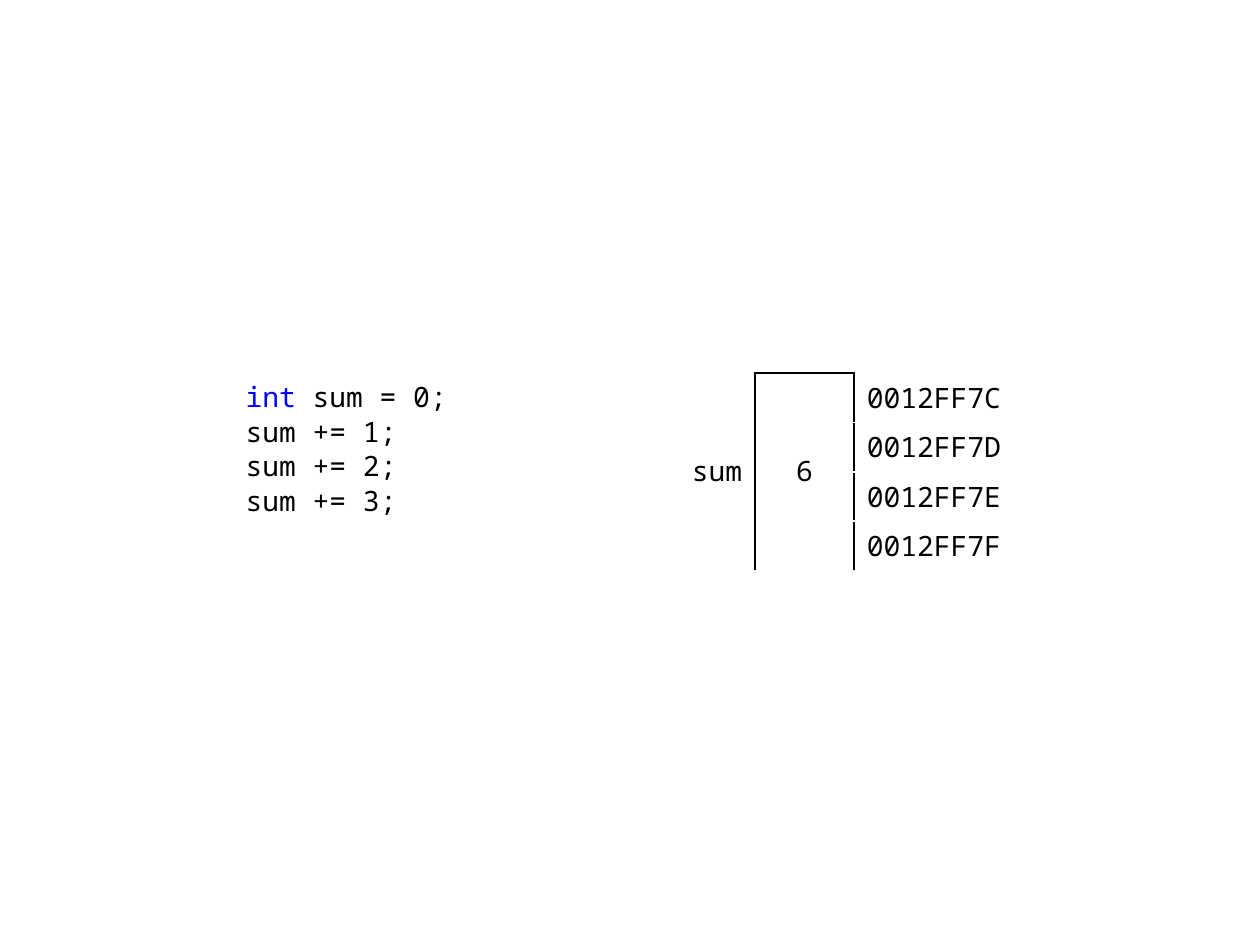
from dataclasses import dataclass

from lxml import etree
from pptx import Presentation
from pptx.dml.color import RGBColor
from pptx.enum.text import MSO_ANCHOR, MSO_AUTO_SIZE, PP_ALIGN
from pptx.oxml.ns import qn
from pptx.util import Inches, Pt

LEFT, CENTER, RIGHT = PP_ALIGN.LEFT, PP_ALIGN.CENTER, PP_ALIGN.RIGHT
TOP, MIDDLE = MSO_ANCHOR.TOP, MSO_ANCHOR.MIDDLE
NO_AUTOFIT = MSO_AUTO_SIZE.NONE


@dataclass(frozen=True)
class Theme:
    font: str = "Noto Sans Mono"
    size: float = 16
    text: str = "000000"
    keyword: str = "0000FF"
    border: str = "000000"
    border_width: float = 1.5
    line_gap: float = 0.7


THEME = Theme()

CODE_LINES = [
    [("int", THEME.keyword), (" sum = 0;", THEME.text)],
    [("sum += 1;", THEME.text)],
    [("sum += 2;", THEME.text)],
    [("sum += 3;", THEME.text)],
]
VARIABLE, VALUE = "sum", "6"
ADDRESSES = ["0012FF7C", "0012FF7D", "0012FF7E", "0012FF7F"]

SLIDE_SIZE = (10, 7.5)
TOP_EDGE = 2.96
CODE_LEFT, CODE_SIZE = 1.85, (1.97, 1.38)
CODE_INDENT = 0.69
MEMORY_LEFT, MEMORY_HEIGHT = 5.2, 1.57
COLUMN_WIDTHS = [0.79, 0.79, 1.38]
COLUMN_ALIGNMENTS = [RIGHT, CENTER, LEFT]
COLUMN_MARGINS = [(0, 0.02), (0, 0.02), (0.04, 0.04)]


def add_run(paragraph, text, color=THEME.text):
    run = paragraph.add_run()
    run.text = text
    run.font.name = THEME.font
    run.font.size = Pt(THEME.size)
    run.font.color.rgb = RGBColor.from_string(color)


def add_border(cell, side):
    line = etree.SubElement(cell._tc.get_or_add_tcPr(), qn(f"a:ln{side}"),
                            w=str(Pt(THEME.border_width)))
    fill = etree.SubElement(line, qn("a:solidFill"))
    etree.SubElement(fill, qn("a:srgbClr"), val=THEME.border)


def add_code(slide):
    slide.shapes.title.element.getparent().remove(slide.shapes.title.element)
    body = slide.placeholders[1]
    body.left, body.top = Inches(CODE_LEFT), Inches(TOP_EDGE)
    body.width, body.height = (Inches(length) for length in CODE_SIZE)
    frame = body.text_frame
    frame.word_wrap = True
    frame.auto_size = NO_AUTOFIT
    frame.vertical_anchor = TOP
    for index, runs in enumerate(CODE_LINES):
        paragraph = frame.add_paragraph() if index else frame.paragraphs[0]
        properties = paragraph._p.get_or_add_pPr()
        properties.set("marL", str(Inches(CODE_INDENT)))
        properties.set("indent", str(-Inches(CODE_INDENT)))
        etree.SubElement(properties, qn("a:buNone"))
        paragraph.space_before = Pt(THEME.line_gap if index else 0)
        for text, color in runs:
            add_run(paragraph, text, color)


def border_sides(row, column):
    last_row = len(ADDRESSES) - 1
    value_sides = "LR" + "T" * (row == 0) + "B" * (row == last_row)
    return ["R", value_sides, "L"][column]


def add_memory(slide):
    rows = len(ADDRESSES)
    table = slide.shapes.add_table(
        rows, len(COLUMN_WIDTHS), Inches(MEMORY_LEFT), Inches(TOP_EDGE),
        Inches(sum(COLUMN_WIDTHS)), Inches(MEMORY_HEIGHT)).table
    table.first_row = table.horz_banding = False
    for column, width in enumerate(COLUMN_WIDTHS):
        table.columns[column].width = Inches(width)
        for row in range(rows):
            cell = table.cell(row, column)
            cell.margin_left = cell.margin_right = Inches(0.1)
            cell.margin_top, cell.margin_bottom = (
                Inches(margin) for margin in COLUMN_MARGINS[column])
            cell.vertical_anchor = MIDDLE
            for side in border_sides(row, column):
                add_border(cell, side)
            cell.fill.background()
    for column in (0, 1):
        table.cell(0, column).merge(table.cell(rows - 1, column))

    entries = [(0, 0, VARIABLE), (0, 1, VALUE)]
    entries += [(row, 2, address) for row, address in enumerate(ADDRESSES)]
    for row, column, text in entries:
        paragraph = table.cell(row, column).text_frame.paragraphs[0]
        paragraph.alignment = COLUMN_ALIGNMENTS[column]
        add_run(paragraph, text)


def main():
    presentation = Presentation()
    presentation.slide_width, presentation.slide_height = (
        Inches(length) for length in SLIDE_SIZE)
    slide = presentation.slides.add_slide(presentation.slide_layouts[1])
    add_code(slide)
    add_memory(slide)
    presentation.save("out.pptx")


if __name__ == "__main__":
    main()
